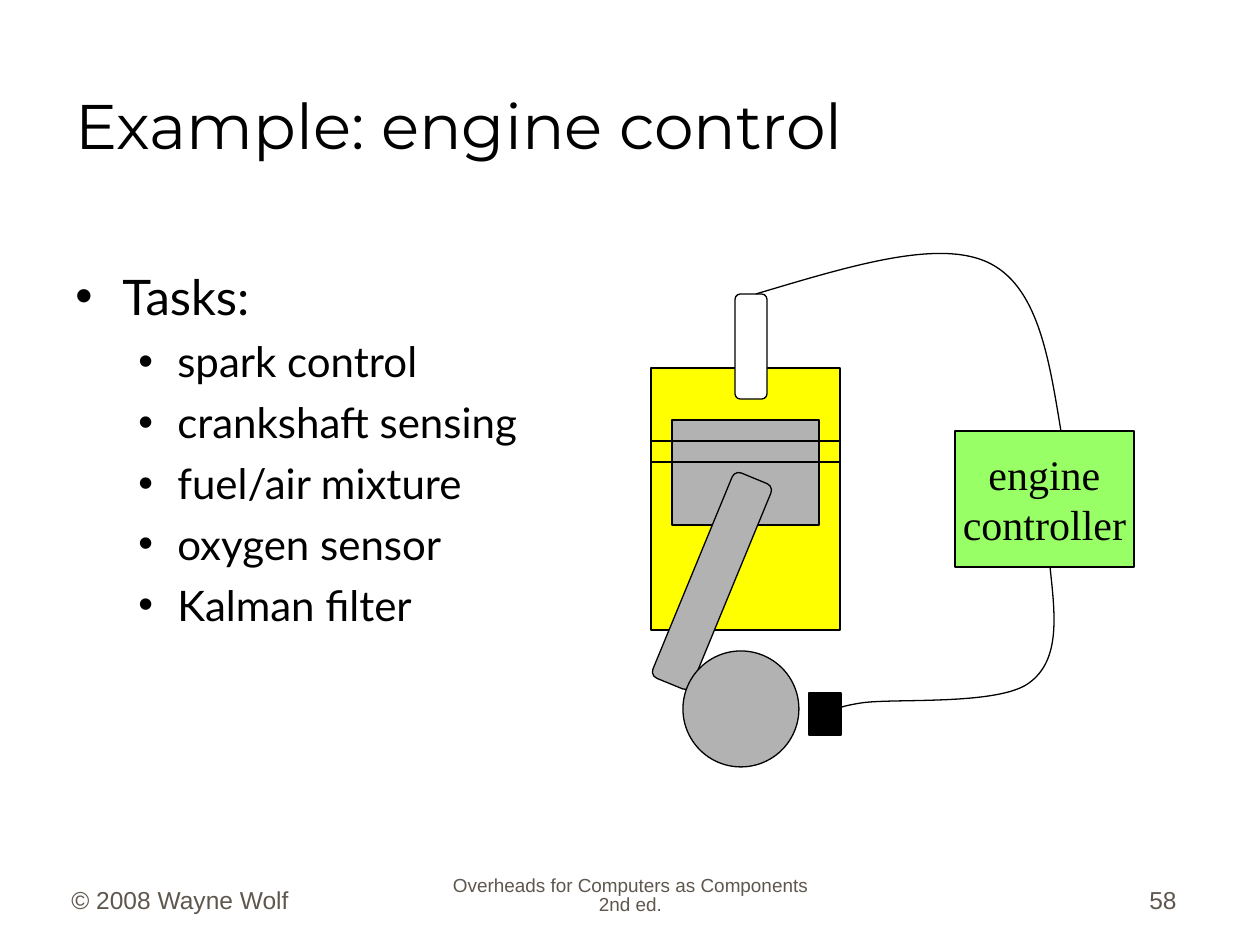
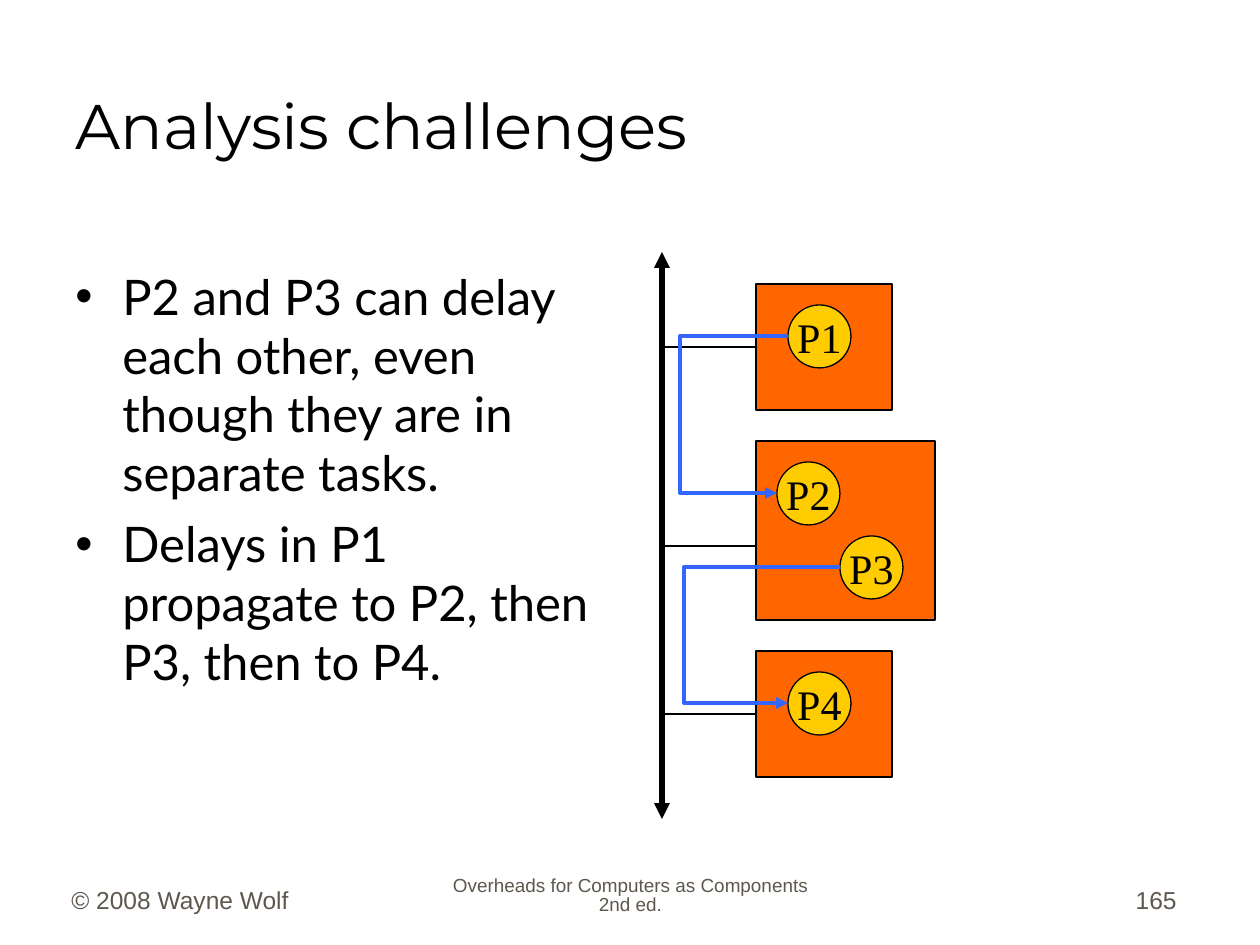
from lxml import etree
from pptx import Presentation
from pptx import util as u
from pptx.dml.color import RGBColor
from pptx.enum import shapes, text
from pptx.oxml.ns import qn

PX = u.Inches(1) / 126

BLACK = "000000"
FOOTER_GREY = "5E574E"
STEEL = "B2B2B2"
SPARK_WHITE = "FFFFFF"
CYLINDER_YELLOW = "FFFF00"
CONTROLLER_GREEN = "99FF66"
TASK_ORANGE = "FF6600"
PROCESS_GOLD = "FFCC00"
DELAY_BLUE = "3366FF"

RECT = shapes.MSO_SHAPE.RECTANGLE
ROUNDED = shapes.MSO_SHAPE.ROUNDED_RECTANGLE
OVAL = shapes.MSO_SHAPE.OVAL
LEFT, CENTER, RIGHT = (text.PP_ALIGN.LEFT, text.PP_ALIGN.CENTER,
                       text.PP_ALIGN.RIGHT)
BULLET_LEVELS = [  # size, space before, text indent, hanging indent
    (28, 7, 47, 47),
    (24, 6, 102, 39),
]


def px(*lengths):
    return [round(length * PX) for length in lengths]


def rgb(color):
    return RGBColor.from_string(color)


def set_font(paragraph, name, size, color=BLACK):
    font = paragraph.font
    font.name, font.size = name, u.Pt(size)
    font.color.rgb = rgb(color)


def set_line(line, color=BLACK, width=0.75):
    line.color.rgb = rgb(color)
    line.width = u.Pt(width)


def add_text_frame(slide, box, anchor):
    frame = slide.shapes.add_textbox(*px(*box)).text_frame
    frame.word_wrap = True
    frame.vertical_anchor = anchor
    return frame


def add_title(slide, title):
    frame = add_text_frame(slide, (63, 32, 1124, 136), text.MSO_ANCHOR.BOTTOM)
    frame.text = title
    set_font(frame.paragraphs[0], "Montserrat", 36)


def add_footer(slide, words, left, width, align, size=14, spacing=1.0):
    frame = add_text_frame(slide, (left, 858, width, 63),
                           text.MSO_ANCHOR.BOTTOM)
    frame.text = words
    paragraph = frame.paragraphs[0]
    paragraph.alignment = align
    paragraph.line_spacing = spacing
    paragraph.space_before = u.Pt(8.8)
    set_font(paragraph, "Arial", size, FOOTER_GREY)


def add_bullets(slide, items):
    """Write (level, words) pairs as a bulleted list."""
    frame = add_text_frame(slide, (63, 260, 553, 575), text.MSO_ANCHOR.TOP)
    frame.text = "\n".join(words for _, words in items)
    for paragraph, (level, _) in zip(frame.paragraphs, items):
        size, before, indent, hanging = BULLET_LEVELS[level]
        paragraph.level = level
        paragraph.space_before = u.Pt(before)
        properties = paragraph._p.get_or_add_pPr()
        margin, hang = px(indent, hanging)
        properties.set("marL", str(margin))
        properties.set("indent", str(-hang))
        etree.SubElement(properties, qn("a:buFont"), typeface="Arial")
        etree.SubElement(properties, qn("a:buChar"), char="•")
        set_font(paragraph, "Lato", size)


def add_block(slide, kind, box, fill, label=None, rotation=0):
    shape = slide.shapes.add_shape(kind, *px(*box))
    shape.shadow.inherit = False
    shape.rotation = rotation
    shape.fill.solid()
    shape.fill.fore_color.rgb = rgb(fill)
    set_line(shape.line)
    if label:
        frame = shape.text_frame
        frame.text = label
        frame.word_wrap = False
        frame.vertical_anchor = text.MSO_ANCHOR.MIDDLE
        for paragraph in frame.paragraphs:
            paragraph.alignment = CENTER
            set_font(paragraph, "Times New Roman", 24)
    return shape


def add_line(slide, start, end, color=BLACK, width=0.75, arrows=(),
             kind=shapes.MSO_CONNECTOR.STRAIGHT):
    """Arrows names the ends that get a head: headEnd, tailEnd."""
    connector = slide.shapes.add_connector(kind, *px(*start, *end))
    set_line(connector.line, color, width)
    properties = connector.element.spPr
    for arrow in arrows:
        etree.SubElement(properties.find(qn("a:ln")), qn("a:" + arrow),
                         type="triangle")
    etree.SubElement(properties, qn("a:effectLst"))
    return connector


def add_delay_arrow(slide, start, end, lane_x):
    """Draw an elbow arrow that runs out to lane_x and back."""
    connector = add_line(slide, start, end, DELAY_BLUE, 2.25, ["tailEnd"],
                         shapes.MSO_CONNECTOR.ELBOW)
    bend = (start[0] - lane_x) / (start[0] - end[0])
    guides = connector.element.spPr.find(qn("a:prstGeom")).find(qn("a:avLst"))
    etree.SubElement(guides, qn("a:gd"), name="adj1",
                     fmla=f"val {round(bend * 100000)}")


def add_wire(slide, start, curve_points):
    """Draw Bézier curves; each takes three points from curve_points."""
    builder = slide.shapes.build_freeform(*start, scale=PX)
    builder.add_line_segments(curve_points, close=False)
    wire = builder.convert_to_shape()
    wire.shadow.inherit = False
    wire.fill.background()
    set_line(wire.line)
    segments = list(wire.element.iter(qn("a:lnTo")))
    for first in range(0, len(segments), 3):
        curve = etree.Element(qn("a:cubicBezTo"))
        segments[first].addprevious(curve)
        for segment in segments[first:first + 3]:
            curve.append(segment[0])
            segment.getparent().remove(segment)


def add_slide(presentation, title, number, bullets):
    slide = presentation.slides.add_slide(presentation.slide_layouts[6])
    add_footer(slide, "© 2008 Wayne Wolf", 59, 262, LEFT)
    add_footer(slide, "Overheads for Computers as Components 2nd ed.",
               431, 399, CENTER, 10.8, 0.8)
    add_footer(slide, number, 927, 262, RIGHT)
    add_title(slide, title)
    add_bullets(slide, bullets)
    return slide


def draw_engine(slide):
    add_block(slide, RECT, (651, 368, 189, 262), CYLINDER_YELLOW)
    add_block(slide, RECT, (672, 420, 147, 105), STEEL)
    for ring_y in (441, 462):
        add_line(slide, (651, ring_y), (840, ring_y))
    add_block(slide, ROUNDED, (735, 294, 32, 105), SPARK_WHITE)
    add_block(slide, ROUNDED, (691, 470, 42, 222), STEEL, rotation=22.4)
    add_block(slide, OVAL, (683, 651, 116, 116), STEEL)
    add_block(slide, RECT, (809, 693, 32, 42), BLACK)
    add_block(slide, RECT, (955, 431, 179, 136), CONTROLLER_GREEN,
              "engine\ncontroller")
    add_wire(slide, (840, 714), [
        (835, 712), (829, 708), (861, 703),
        (892, 698), (998, 706), (1029, 683),
        (1061, 660), (1055, 614), (1050, 567)])
    add_wire(slide, (756, 294), [
        (847, 267), (936, 239), (987, 262),
        (1038, 285), (1049, 358), (1061, 431)])


def draw_tasks(slide):
    bus_x, task_x, process_size = 662, 756, 63
    add_line(slide, (bus_x, 252), (bus_x, 819), width=3,
             arrows=["headEnd", "tailEnd"])
    for top, width, height, link_y in [(284, 136, 126, 347),
                                       (441, 179, 179, 546),
                                       (651, 136, 126, 714)]:
        add_block(slide, RECT, (task_x, top, width, height), TASK_ORANGE)
        add_line(slide, (task_x, link_y), (bus_x, link_y))
    processes = {"P1": (788, 305), "P2": (777, 462),
                 "P3": (840, 536), "P4": (788, 672)}
    for name, corner in processes.items():
        add_block(slide, OVAL, (*corner, process_size, process_size),
                  PROCESS_GOLD, name)
    for source, target, lane_x in [("P1", "P2", 680), ("P3", "P4", 684)]:
        start, end = [(left, top + process_size // 2) for left, top in
                      (processes[source], processes[target])]
        add_delay_arrow(slide, start, end, lane_x)


def main():
    presentation = Presentation()
    presentation.slide_width, presentation.slide_height = px(1260, 945)
    draw_engine(add_slide(presentation, "Example: engine control", "58", [
        (0, "Tasks:"),
        (1, "spark control"),
        (1, "crankshaft sensing"),
        (1, "fuel/air mixture"),
        (1, "oxygen sensor"),
        (1, "Kalman filter"),
    ]))
    draw_tasks(add_slide(presentation, "Analysis challenges", "165", [
        (0, "P2 and P3 can delay each other, even though they are in "
            "separate tasks."),
        (0, "Delays in P1 propagate to P2, then P3, then to P4."),
    ]))
    presentation.save("out.pptx")


if __name__ == "__main__":
    main()
